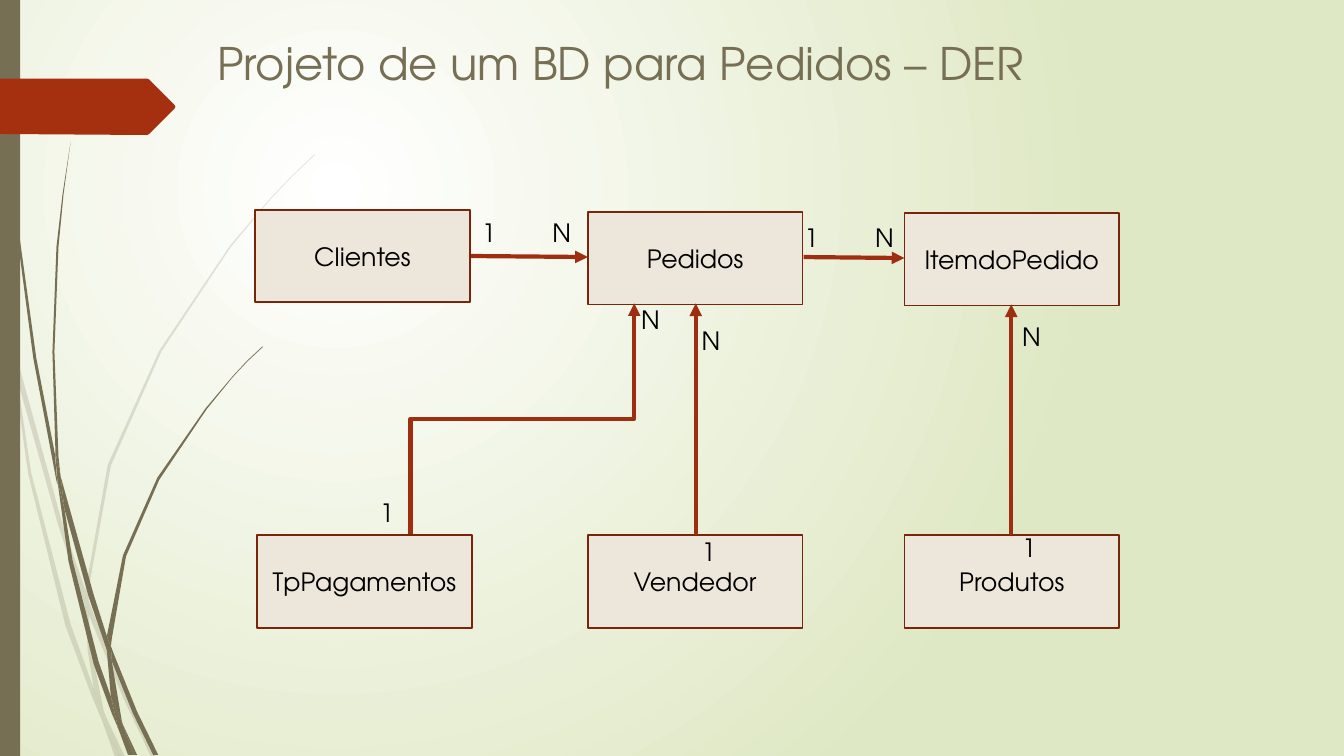
from dataclasses import dataclass

from lxml import etree
from pptx import Presentation
from pptx.dml.color import RGBColor
from pptx.enum.shapes import MSO_CONNECTOR, MSO_SHAPE
from pptx.enum.text import MSO_ANCHOR, PP_ALIGN
from pptx.oxml.ns import qn
from pptx.util import Inches, Pt

RECT = MSO_SHAPE.RECTANGLE
STRAIGHT, ELBOW = MSO_CONNECTOR.STRAIGHT, MSO_CONNECTOR.ELBOW
TOP, MIDDLE, BOTTOM = MSO_ANCHOR.TOP, MSO_ANCHOR.MIDDLE, MSO_ANCHOR.BOTTOM
LEFT, CENTER = PP_ALIGN.LEFT, PP_ALIGN.CENTER


@dataclass(frozen=True)
class Theme:
    font: str = "TeX Gyre Adventor"
    title_size: int = 32
    body_size: int = 18
    olive: str = "766F54"
    red: str = "A53010"
    arrow: str = "9E2E0F"
    box: str = "EDE6DB"
    border: str = "7A240C"
    text: str = "000000"
    glow: str = "FFFFFF"
    edge: str = "DFE8C4"


def rgb(color):
    return RGBColor.from_string(color)


class Diagram:
    def __init__(self, s, theme):
        self.s, self.theme = s, theme

    def background(self):
        """Radial gradient centred a quarter of the way in from the top left."""
        fill = self.s.background.fill
        fill.gradient()
        for stop, color, pos in zip(fill.gradient_stops, (self.theme.glow, self.theme.edge), (0, 1)):
            stop.color.rgb = rgb(color)
            stop.position = pos
        grad = self.s.element.find(".//" + qn("a:gradFill"))
        radial = etree.Element(qn("a:path"))
        radial.set("path", "circle")
        etree.SubElement(radial, qn("a:fillToRect"), l="50000", t="50000", r="100000", b="100000")
        grad.replace(grad.find(qn("a:lin")), radial)

    def paint(self, sp, color, alpha=None):
        sp.shadow.inherit = False
        sp.fill.solid()
        sp.fill.fore_color.rgb = rgb(color)
        sp.line.fill.background()
        if alpha:
            clr = sp.element.spPr.find(".//" + qn("a:srgbClr"))
            etree.SubElement(clr, qn("a:alpha"), val=str(alpha * 1000))

    def outline(self, points, color, alpha=None):
        (x, y), *rest = [(Inches(px), Inches(py)) for px, py in points]
        fb = self.s.shapes.build_freeform(x, y)
        fb.add_line_segments(rest, close=True)
        self.paint(fb.convert_to_shape(), color, alpha)

    def rect(self, x, y, w, h, color):
        sp = self.s.shapes.add_shape(RECT, Inches(x), Inches(y), Inches(w), Inches(h))
        self.paint(sp, color)
        return sp

    def set_text(self, sp, text, size, color, align, anchor):
        tf = sp.text_frame
        tf.text = text
        tf.word_wrap = True
        tf.vertical_anchor = anchor
        p = tf.paragraphs[0]
        p.alignment = align
        font = p.runs[0].font
        font.name, font.size = self.theme.font, Pt(size)
        font.color.rgb = rgb(color)

    def entity(self, name, x, y):
        sp = self.rect(x, y, 2.13, 0.92, self.theme.box)
        sp.line.color.rgb = rgb(self.theme.border)
        sp.line.width = Pt(1.25)
        self.set_text(sp, name, self.theme.body_size, self.theme.text, CENTER, MIDDLE)

    def title(self, text):
        sp = self.s.shapes.add_textbox(Inches(1.92), Inches(0.35), Inches(8.75), Inches(0.59))
        self.set_text(sp, text, self.theme.title_size, self.theme.olive, CENTER, BOTTOM)
        sp.text_frame.margin_right = Inches(0.37)

    def label(self, text, x, y):
        sp = self.s.shapes.add_textbox(Inches(x), Inches(y), Inches(0.39), Inches(0.4))
        self.set_text(sp, text, self.theme.body_size, self.theme.text, LEFT, TOP)

    def arrow(self, x1, y1, x2, y2, kind=STRAIGHT):
        c = self.s.shapes.add_connector(kind, Inches(x1), Inches(y1), Inches(x2), Inches(y2))
        c.line.color.rgb = rgb(self.theme.arrow)
        c.line.width = Pt(3)
        sp_pr = c.element.spPr
        etree.SubElement(sp_pr.find(qn("a:ln")), qn("a:tailEnd"), type="triangle")
        etree.SubElement(sp_pr, qn("a:effectLst"))
        return c

    def rising_elbow(self, x1, y1, x2, y2):
        """Elbow that leaves upwards: a sideways elbow turned by 90 degrees."""
        cx, cy = (x1 + x2) / 2, (y1 + y2) / 2
        dx, dy = (x2 - x1) / 2, (y1 - y2) / 2
        c = self.arrow(cx + dy, cy + dx, cx - dy, cy - dx, ELBOW)
        c.element.spPr.find(qn("a:xfrm")).set("rot", "5400000")


PALE_STEMS = [
    [(.11, 3.5), (.09, 3.22), (0, 2.82), (0, 2.99), (.1, 3.44)],
    [(.58, 5.22), (.84, 5.99), (.85, 5.86), (.62, 5.2), (.14, 3.45), (.17, 3.76)],
    [(.92, 6.07), (.88, 5.96), (.88, 6.1), (1.23, 6.94), (1.5, 7.51), (1.55, 7.51), (1.27, 6.92)],
    [(1.19, 7.51), (1.24, 7.51), (1.05, 7.11)],
    [(.93, 6.83), (.7, 6.19), (.31, 4.69), (.17, 3.76), (.11, 3.5), (.28, 4.7), (.65, 6.21),
     (.92, 6.93), (1.01, 7.14), (.99, 7.07)],
    [(.84, 5.99), (.87, 6.46), (.93, 6.83), (.96, 6.92), (1.05, 7.11), (1.03, 7.06), (.91, 6.46),
     (.88, 6.1), (.88, 6.08)],
    [(.88, 5.84), (1.1, 4.62), (1.6, 3.49), (2.29, 2.45), (2.68, 1.98), (2.9, 1.75), (3.12, 1.54),
     (3.12, 1.53), (2.89, 1.75), (2.68, 1.97), (2.28, 2.44), (1.58, 3.48), (1.07, 4.61),
     (.85, 5.84), (.85, 5.86), (.88, 5.96)],
    [(1.01, 7.14), (1.14, 7.51), (1.19, 7.51)],
    [(.88, 6.08), (.88, 6.1), (.88, 5.96), (.85, 5.86), (.84, 5.99)],
    [(.96, 6.92), (.93, 6.83), (.99, 7.07), (1.01, 7.14), (1.19, 7.51), (1.05, 7.11)],
]
DARK_STEMS = [
    [(.07, 1.1), (.17, 2.33), (.33, 3.55), (.56, 4.77), (.57, 4.81), (.55, 4.57), (.55, 4.53),
     (.36, 3.55), (.19, 2.32), (.08, 1.09), (.05, .48), (.04, 0), (.03, 0), (.04, .48)],
    [(.88, 5.92), (1.06, 6.45), (1.06, 6.33), (1.06, 6.31), (.93, 5.9), (.6, 4.72), (.64, 5.05)],
    [(1.13, 6.49), (1.1, 6.41), (1.11, 6.56), (1.32, 7.08), (1.52, 7.49), (1.57, 7.49), (1.36, 7.06)],
    [(1.1, 6.91), (.98, 6.57), (.72, 5.56), (.64, 5.05), (.57, 4.77), (.68, 5.57), (.93, 6.59),
     (1.11, 7.08), (1.17, 7.22), (1.16, 7.17)],
    [(.6, 4.72), (.58, 4.53), (.54, 3.49), (.58, 2.45), (.63, 1.93), (.7, 1.41), (.62, 1.93),
     (.56, 2.45), (.52, 3.49), (.55, 4.49)],
    [(1.33, 7.49), (1.36, 7.49), (1.22, 7.19)],
    [(.57, 4.77), (.64, 5.05), (.6, 4.72), (.55, 4.49), (.55, 4.53)],
    [(1.11, 6.33), (1.25, 5.52), (1.58, 4.76), (2.05, 4.06), (2.31, 3.74), (2.45, 3.59),
     (2.61, 3.44), (2.6, 3.44), (2.45, 3.58), (2.31, 3.73), (2.04, 4.05), (1.56, 4.74),
     (1.22, 5.51), (1.06, 6.31), (1.1, 6.41)],
    [(1.17, 7.22), (1.27, 7.49), (1.31, 7.49)],
    [(1.06, 6.45), (1.1, 6.91), (1.16, 7.06), (1.22, 7.19), (1.21, 7.16), (1.11, 6.56), (1.09, 6.51)],
    [(1.06, 6.45), (1.09, 6.51), (1.11, 6.56), (1.1, 6.41), (1.06, 6.31), (1.06, 6.33)],
    [(1.16, 7.06), (1.1, 6.91), (1.16, 7.17), (1.17, 7.22), (1.3, 7.49), (1.33, 7.49), (1.22, 7.19)],
]
PAGE_TAG = [(0, .78), (1.46, .78), (1.48, .79), (1.73, 1.04), (1.74, 1.06), (1.73, 1.08),
            (1.48, 1.33), (1.46, 1.34), (0, 1.33)]
ENTITIES = [
    ("Clientes", 2.53, 2.08), ("Pedidos", 5.83, 2.1), ("ItemdoPedido", 8.97, 2.11),
    ("Produtos", 8.97, 5.31), ("Vendedor", 5.83, 5.31), ("TpPagamentos", 2.55, 5.31),
]
ARROWS = [
    (4.67, 2.54, 5.83, 2.55), (7.97, 2.55, 8.97, 2.56),
    (6.9, 5.31, 6.9, 3.01), (10.03, 5.31, 10.03, 3.02),
]
CARDINALITIES = [  # place of the 1, then of the N
    ((4.68, 2.11), (5.38, 2.11)),
    ((7.88, 2.16), (8.58, 2.16)),
    ((10.04, 5.23), (10.04, 3.14)),
    ((6.86, 5.27), (6.86, 3.18)),
    ((3.67, 4.88), (6.26, 2.97)),
]


def main():
    prs = Presentation()
    prs.slide_width, prs.slide_height = Inches(13.33), Inches(7.5)
    theme = Theme()
    d = Diagram(prs.slides.add_slide(prs.slide_layouts[6]), theme)
    d.background()
    for stem in PALE_STEMS:
        d.outline(stem, theme.olive, alpha=20)
    for stem in DARK_STEMS:
        d.outline(stem, theme.olive)
    d.rect(0, 0, 0.2, 7.5, theme.olive)
    d.outline(PAGE_TAG, theme.red)
    d.title("Projeto de um BD para Pedidos – DER")
    for name, x, y in ENTITIES:
        d.entity(name, x, y)
    for ends in ARROWS:
        d.arrow(*ends)
    d.rising_elbow(4.07, 5.3, 6.29, 3.01)
    for one, many in CARDINALITIES:
        d.label("1", *one)
        d.label("N", *many)
    prs.save("out.pptx")


if __name__ == "__main__":
    main()
